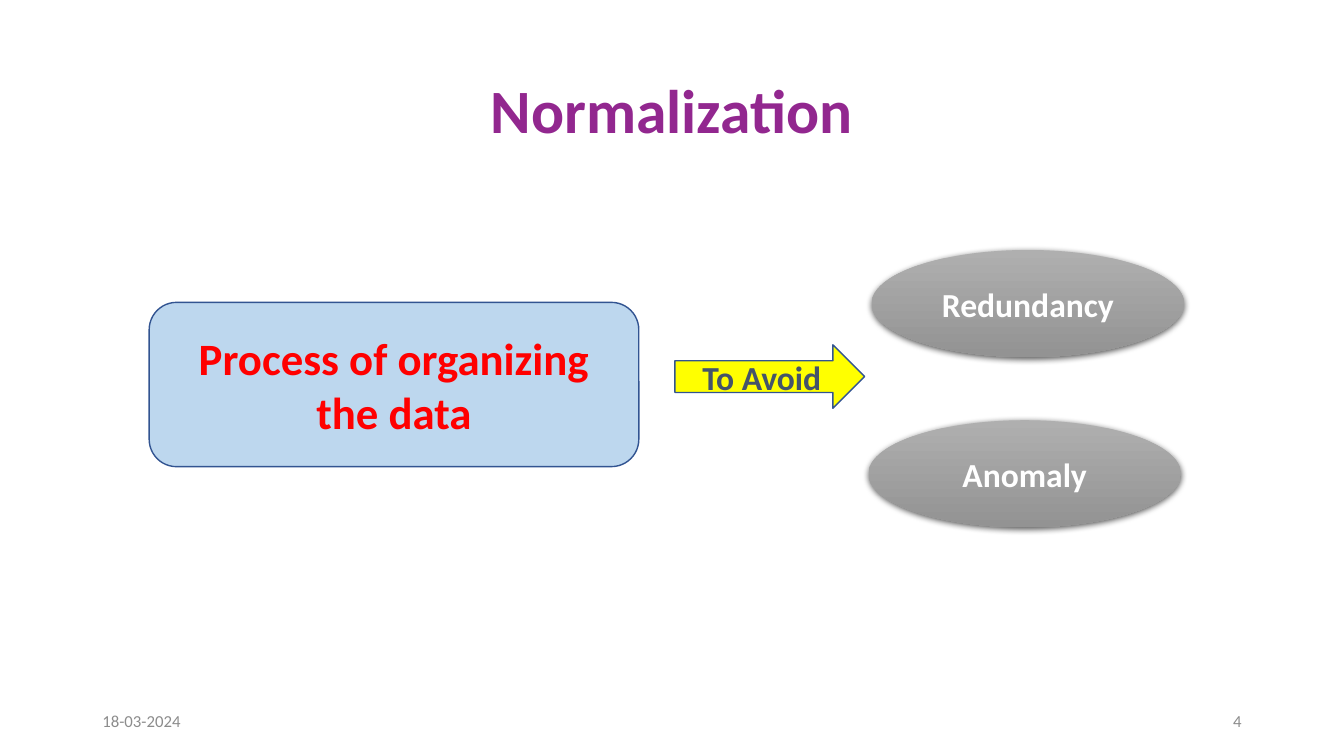
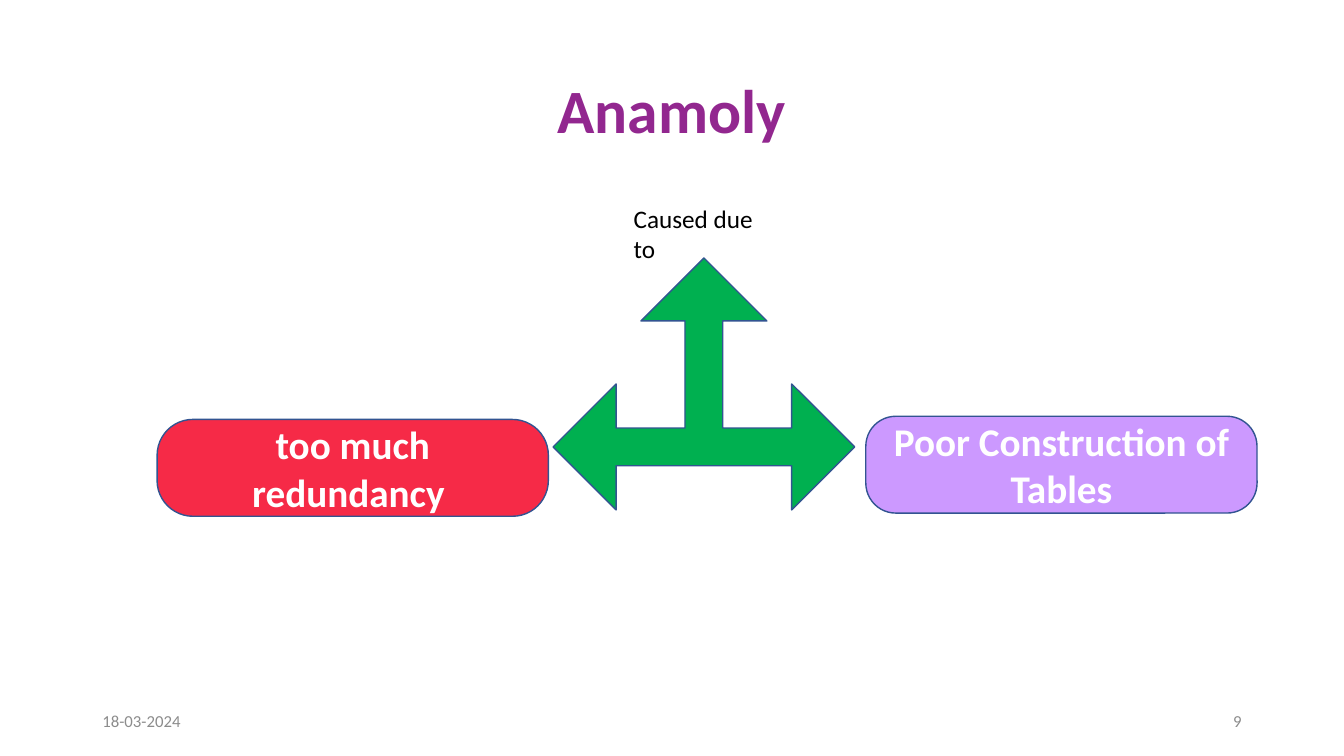
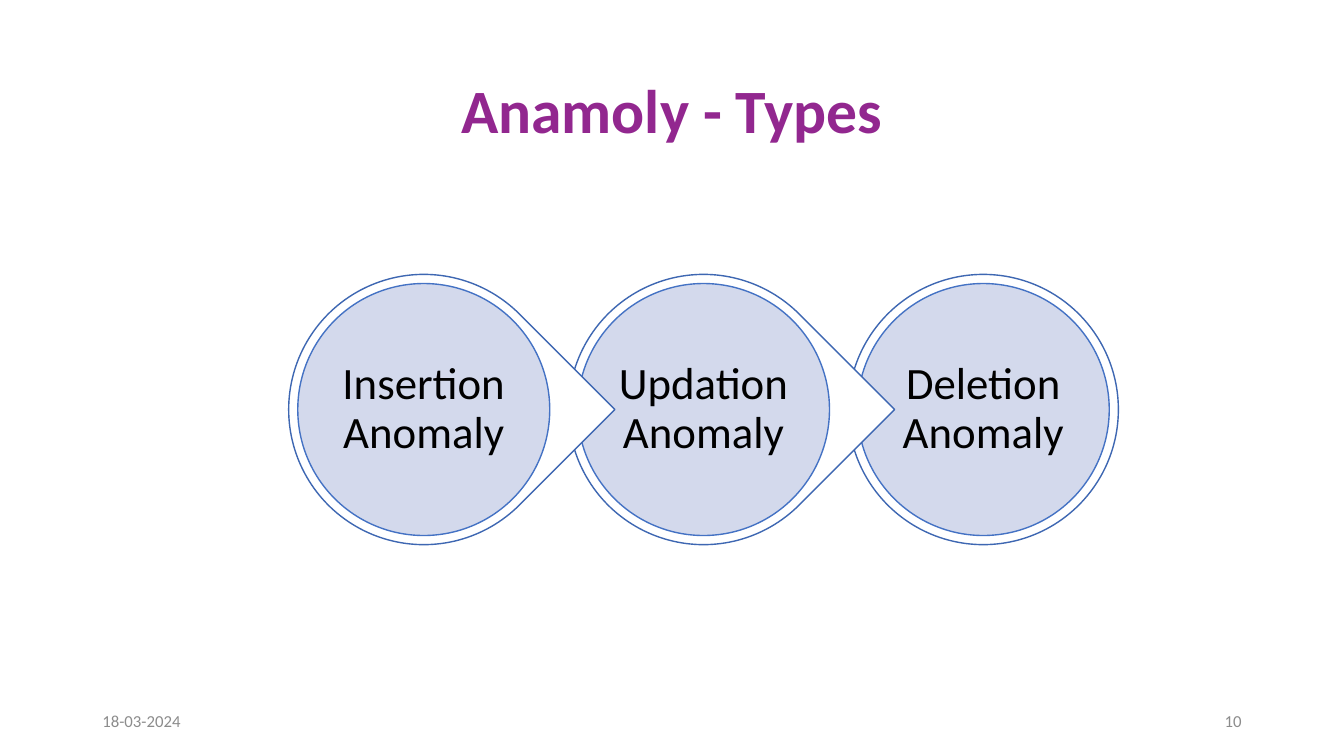
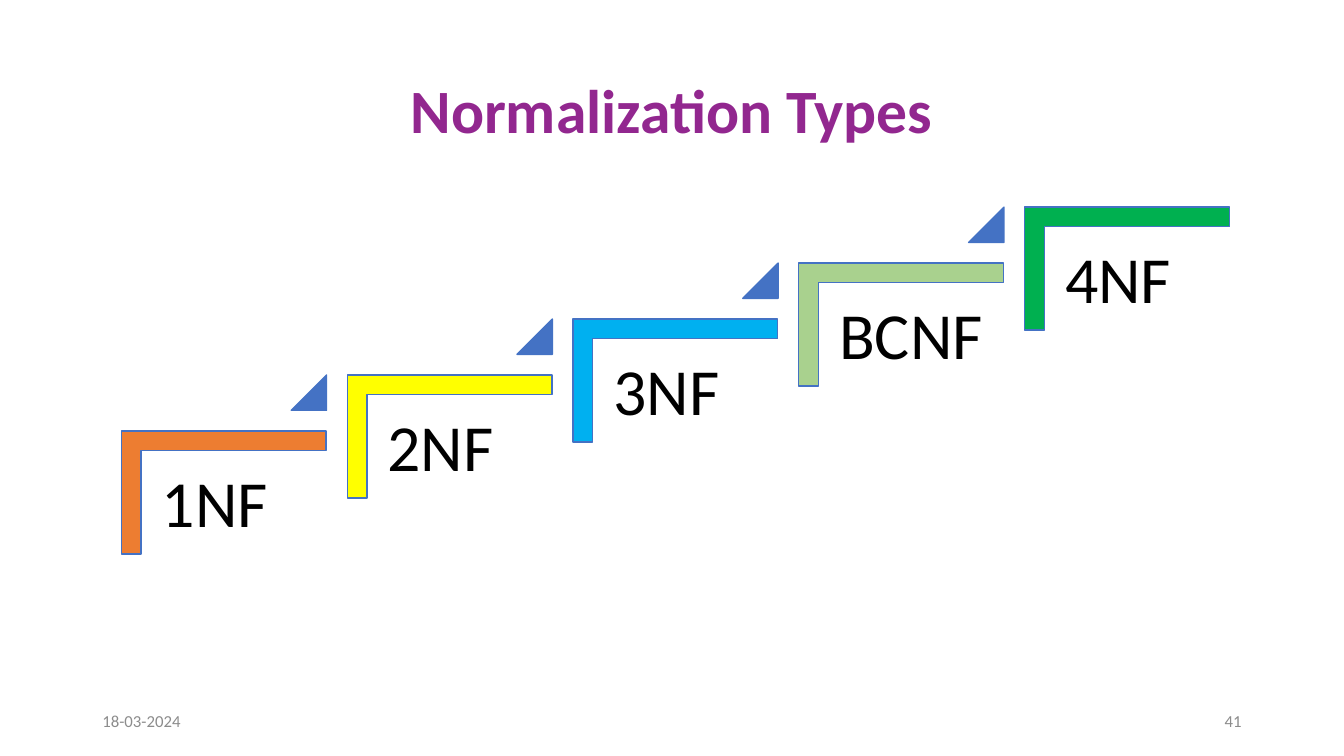
from dataclasses import dataclass

from lxml import etree
from pptx import Presentation, oxml, util as u
from pptx.dml.color import RGBColor
from pptx.enum import shapes, text
from pptx.oxml import ns

KIND = shapes.MSO_SHAPE
SIDE = text.PP_ALIGN
HOLD = text.MSO_ANCHOR

PLUM, GREY, BLACK, WHITE = "92278F", "8C8C8C", "000000", "FFFFFF"
NAVY, BLUE, GREEN, YELLOW = "325491", "4472C4", "00B050", "FFFF00"

SHADE = f"""<a:effectLst {ns.nsdecls('a')}>
<a:outerShdw blurRad="57150" dist="19050" dir="5400000" algn="ctr" rotWithShape="0">
<a:srgbClr val="000000"><a:alpha val="63000"/></a:srgbClr>
</a:outerShdw></a:effectLst>"""


@dataclass
class Area:
    x: float
    y: float
    w: float
    h: float

    def cm(self) -> tuple:
        return u.Cm(self.x), u.Cm(self.y), u.Cm(self.w), u.Cm(self.h)


@dataclass
class Type:
    size: int
    color: str
    bold: bool = False
    side: SIDE = SIDE.CENTER
    space: float = 1.0
    anchor: HOLD = HOLD.MIDDLE


@dataclass
class Step:
    label: str
    color: str


def rgb(code: str) -> RGBColor:
    return RGBColor.from_string(code)


def write(shape, words: str, style: Type, inset: float | None = None) -> None:
    frame = shape.text_frame
    frame.word_wrap = True
    frame.vertical_anchor = style.anchor
    if inset is not None:
        frame.margin_left = frame.margin_right = u.Cm(inset)
        frame.margin_top = frame.margin_bottom = u.Cm(inset)
    para = frame.paragraphs[0]
    para.text = words
    para.alignment = style.side
    para.line_spacing = style.space
    font = para.font
    font.name, font.size, font.bold = "Calibri", u.Pt(style.size), style.bold
    font.color.rgb = rgb(style.color)


def label(slide, area: Area, words: str, style: Type, inset: float | None = None) -> None:
    write(slide.shapes.add_textbox(*area.cm()), words, style, inset)


def draw(slide, kind: KIND, area: Area, fill: str, line: str = NAVY,
         adjust: tuple = (), turn: float = 0):
    shape = slide.shapes.add_shape(kind, *area.cm())
    shape.shadow.inherit = False
    shape.fill.solid()
    shape.fill.fore_color.rgb = rgb(fill)
    shape.line.color.rgb = rgb(line)
    shape.line.width = u.Pt(1)
    shape.rotation = turn
    for i, value in enumerate(adjust):
        shape.adjustments[i] = value
    return shape


def oval(slide, area: Area, words: str) -> None:
    shape = slide.shapes.add_shape(KIND.OVAL, *area.cm())
    shape.line.fill.background()
    shape.fill.gradient()
    shape.fill.gradient_angle = 270
    for stop, code in zip(shape.fill.gradient_stops, ("AFAFAF", "939393")):
        stop.color.rgb = rgb(code)
    shape.element.spPr.append(oxml.parse_xml(SHADE))
    write(shape, words, Type(24, WHITE, True))


def fade(shape, share: int) -> None:
    color = shape.element.spPr.find(ns.qn("a:solidFill"))[0]
    etree.SubElement(color, ns.qn("a:alpha")).set("val", str(share * 1000))


def start(deck, title: str, page: int):
    slide = deck.slides.add_slide(deck.slide_layouts[6])
    label(slide, Area(2.33, 1.01, 29.21, 3.68), title, Type(44, PLUM, True, space=0.9))
    label(slide, Area(2.33, 17.66, 7.62, 1.01), "18-03-2024", Type(12, GREY, side=SIDE.LEFT))
    label(slide, Area(23.92, 17.66, 7.62, 1.01), str(page), Type(12, GREY, side=SIDE.RIGHT))
    return slide


def intro(deck) -> None:
    slide = start(deck, "Normalization", 4)
    box = draw(slide, KIND.ROUNDED_RECTANGLE, Area(3.76, 7.62, 12.34, 4.14), "BDD7EE")
    write(box, "Process of organizing the data", Type(32, "FF0000", True))
    oval(slide, Area(21.97, 6.3, 7.87, 2.7), "Redundancy")
    oval(slide, Area(21.89, 10.59, 7.87, 2.7), "Anomaly")
    arrow = draw(slide, KIND.RIGHT_ARROW, Area(17.01, 8.69, 4.78, 1.6), YELLOW)
    write(arrow, "To Avoid", Type(24, "44546A", True))


def cause(deck) -> None:
    slide = start(deck, "Anamoly", 9)
    for x, y, fill, bend, words in (
        (3.96, 10.57, "F62A47", 0.37, "too much redundancy "),
        (21.82, 10.49, "CC99FF", 0.31, "Poor Construction of Tables"),
    ):
        box = draw(slide, KIND.ROUNDED_RECTANGLE, Area(x, y, 9.86, 2.44), fill, adjust=(bend,))
        write(box, words, Type(28, WHITE, True))
    draw(slide, KIND.LEFT_RIGHT_UP_ARROW, Area(13.94, 6.5, 7.6, 6.35), GREEN,
         adjust=(0.15, 0.25, 0.25))
    label(slide, Area(15.72, 5, 4.06, 1.02), "Caused due to",
          Type(18, BLACK, side=SIDE.LEFT, anchor=HOLD.TOP))


def ring(spot: int, size: float) -> Area:
    return Area(10.68 + 7.05 * spot - size / 2, 10.32 - size / 2, size, size)


def kinds(deck) -> None:
    slide = start(deck, "Anamoly - Types", 10)
    names = ("Insertion", "Updation", "Deletion")
    last = len(names) - 1
    for i in range(last, -1, -1):
        if i == last:
            draw(slide, KIND.OVAL, ring(i, 6.81), WHITE, "3E67B2")
        else:
            draw(slide, KIND.TEAR, ring(i, 6.81), WHITE, "3E67B2", (1,), 45)
        fade(draw(slide, KIND.OVAL, ring(i, 6.35), "CFD5EA", BLUE), 90)
        label(slide, ring(i, 4.55), f"{names[i]} Anomaly", Type(32, BLACK, space=0.9), 0.1)


def stairs(deck) -> None:
    slide = start(deck, "Normalization Types", 41)
    steps = (Step("1NF", "ED7D31"), Step("2NF", YELLOW), Step("3NF", "00B0F0"),
             Step("BCNF", "A9D18E"), Step("4NF", GREEN))
    style = Type(47, BLACK, side=SIDE.LEFT, space=0.9, anchor=HOLD.TOP)
    for i, step in enumerate(steps):
        x, y = 4.09 + 5.69 * i, 9.83 - 1.41 * i
        draw(slide, KIND.CORNER, Area(x, y, 3.1, 5.16), step.color, BLUE, (0.16, 0.16), 90)
        label(slide, Area(x - 0.51, y + 1.53, 4.65, 4.06), step.label, style, 0.5)
        if i < len(steps) - 1:
            draw(slide, KIND.ISOSCELES_TRIANGLE, Area(x + 3.25, y - 0.38, 0.89, 0.89),
                 BLUE, BLUE, (1,))


def main() -> None:
    deck = Presentation()
    deck.slide_width, deck.slide_height = u.Cm(33.87), u.Cm(19.05)
    for build in (intro, cause, kinds, stairs):
        build(deck)
    deck.save("out.pptx")


if __name__ == "__main__":
    main()
